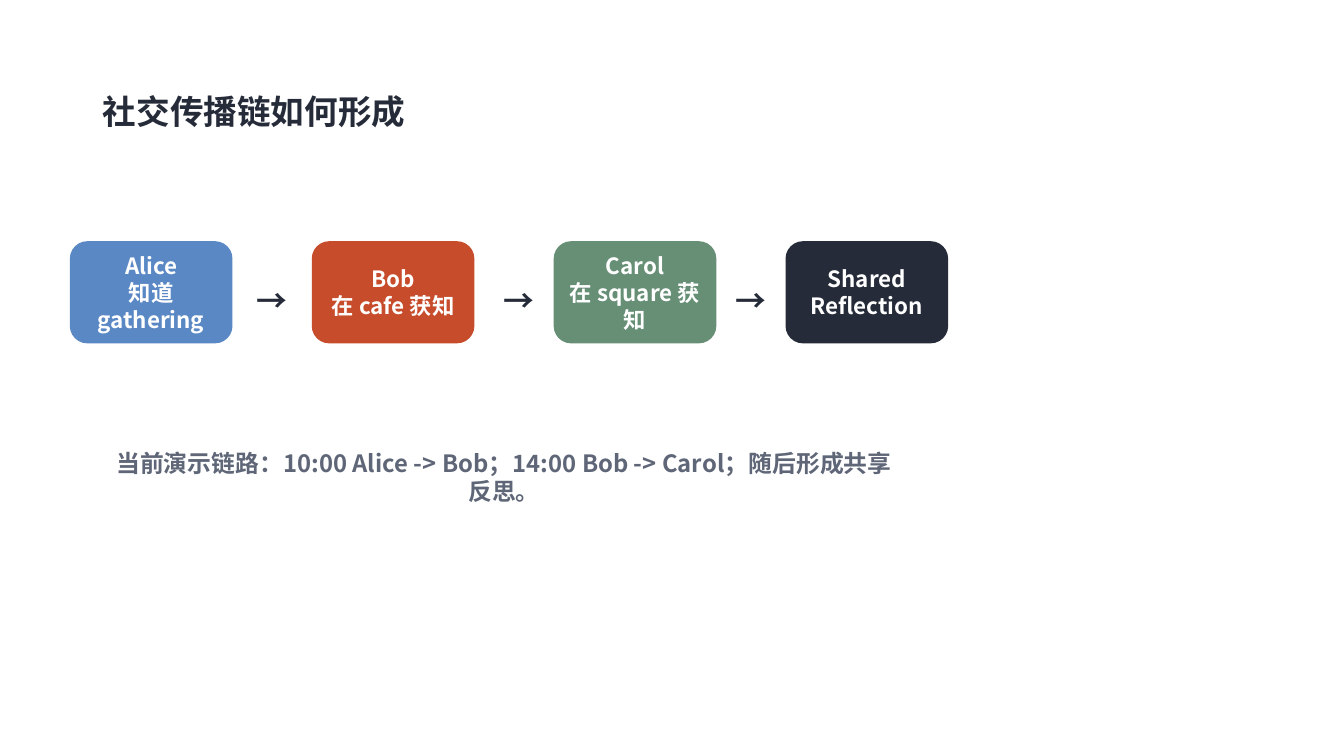
import pptx
import pptx.dml.color
import pptx.enum.shapes
import pptx.enum.text
import pptx.oxml
import pptx.oxml.ns
import pptx.util

FONT = "Noto Sans CJK SC"
COLORS = {
    "paper": "FFFFFF",
    "ink": "252B38",
    "muted": "5F6677",
    "alice": "5A88C5",
    "bob": "C74C2C",
    "carol": "668F76",
}
CELL = 0.1  # inches per grid column and row
ALIGN = pptx.enum.text.PP_ALIGN

# Card column, fill and text, left to right
STEPS = [
    (7, "alice", "Alice\n知道 gathering"),
    (31, "bob", "Bob\n在 cafe 获知"),
    (55, "carol", "Carol\n在 square 获知"),
    (78, "ink", "Shared\nReflection"),
]
ARROW_COLUMNS = [24.5, 49, 72]


def grid(*cells):
    return [pptx.util.Inches(cell * CELL) for cell in cells]


def rgb(name):
    return pptx.dml.color.RGBColor.from_string(COLORS[name])


def write(frame, text, size, color, align):
    frame.text = text
    for para in frame.paragraphs:
        para.alignment = align
        for span in para.runs:
            span.font.name = FONT
            span.font.size = pptx.util.Pt(size)
            span.font.bold = True
            span.font.color.rgb = rgb(color)
            # East Asian glyphs take their own typeface
            east = pptx.oxml.parse_xml(
                f'<a:ea {pptx.oxml.ns.nsdecls("a")} typeface="{FONT}"/>')
            span.font._element.find(pptx.oxml.ns.qn("a:latin")).addnext(east)


def add_heading(page, box, text):
    title = page.shapes.title
    title.left, title.top, title.width, title.height = grid(*box)
    frame = title.text_frame
    write(frame, text, 24, "ink", ALIGN.LEFT)
    frame.auto_size = pptx.enum.text.MSO_AUTO_SIZE.NONE
    frame.vertical_anchor = pptx.enum.text.MSO_ANCHOR.MIDDLE
    frame.paragraphs[0].line_spacing = 0.9


def add_card(page, box, color, text):
    card = page.shapes.add_shape(
        pptx.enum.shapes.MSO_SHAPE.ROUNDED_RECTANGLE, *grid(*box))
    card.shadow.inherit = False
    card.fill.solid()
    card.fill.fore_color.rgb = rgb(color)
    card.line.color.rgb = rgb(color)
    card.line.width = pptx.util.Pt(1)
    card.text_frame.vertical_anchor = pptx.enum.text.MSO_ANCHOR.MIDDLE
    write(card.text_frame, text, 16, "paper", ALIGN.CENTER)


def add_label(page, box, text, size, color, wrap):
    label = page.shapes.add_textbox(*grid(*box))
    label.text_frame.word_wrap = wrap
    write(label.text_frame, text, size, color, ALIGN.CENTER)


def add_chain(page, top):
    for column, color, text in STEPS:
        add_card(page, (column, top, 16, 10), color, text)
    for column in ARROW_COLUMNS:
        add_label(page, (column, top + 3.5, 5, 4), "→", 22, "ink", False)


def main():
    deck = pptx.Presentation()
    deck.slide_width, deck.slide_height = grid(133.33, 75)
    page = deck.slides.add_slide(deck.slide_layouts[5])
    page.background.fill.solid()
    page.background.fill.fore_color.rgb = rgb("paper")

    add_heading(page, (9.2, 4, 115, 14.5), "社交传播链如何形成")
    add_chain(page, 24)
    # Summary of the chain
    add_label(page, (10, 44, 80, 8),
              "当前演示链路：10:00 Alice -> Bob；14:00 Bob -> Carol；随后形成共享反思。",
              17, "muted", True)
    deck.save("out.pptx")


if __name__ == "__main__":
    main()
